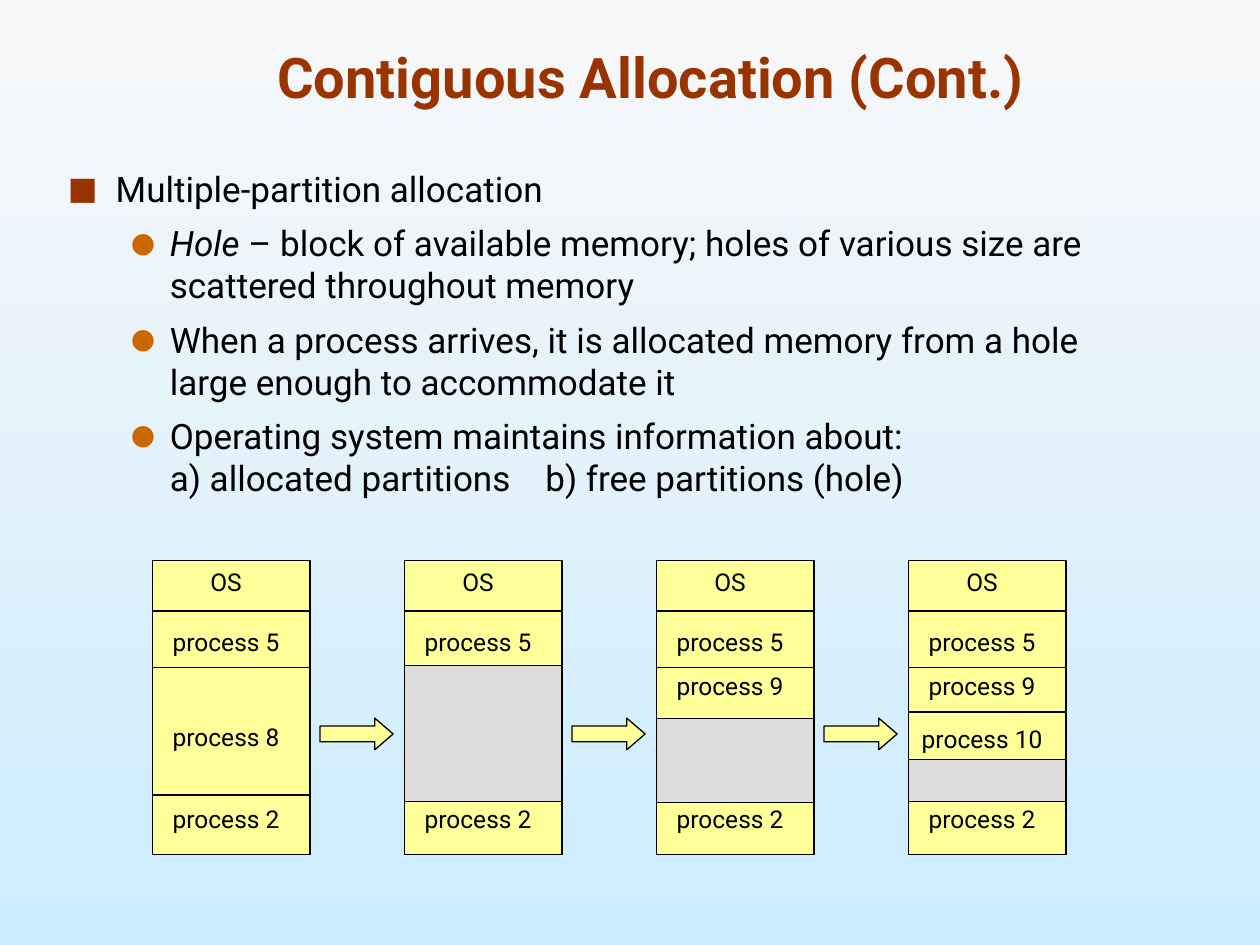
import pptx
import pptx.util
import pptx.dml.color
import pptx.enum.shapes
import pptx.enum.text
import pptx.oxml
import pptx.oxml.ns

Inches, Pt = pptx.util.Inches, pptx.util.Pt
RGBColor = pptx.dml.color.RGBColor
MSO_SHAPE = pptx.enum.shapes.MSO_SHAPE
MSO_ANCHOR = pptx.enum.text.MSO_ANCHOR
PP_ALIGN = pptx.enum.text.PP_ALIGN

FONT = "Roboto"
BLACK = RGBColor(0x00, 0x00, 0x00)
RUST = RGBColor(0x99, 0x33, 0x00)
ORANGE = RGBColor(0xCC, 0x66, 0x00)
YELLOW = RGBColor(0xFF, 0xFF, 0x99)
GRAY = RGBColor(0xDD, 0xDD, 0xDD)
SKY_TOP = RGBColor(0xF8, 0xF8, 0xF8)
SKY_BOTTOM = RGBColor(0xCC, 0xEC, 0xFF)

# Bullet styles: character, colour, size in percent, left indent, hanging indent
SQUARE = ("■", RUST, 90, 0.38, 0.38)
DOT = ("●", ORANGE, 80, 0.81, 0.31)
SECOND_ITEM_TAB = 3.79

# Each paragraph: bullet style, then its lines, each a list of (text, italic)
BODY = [
    (SQUARE, [[("Multiple-partition allocation", False)]]),
    (DOT, [[("Hole", True),
            (" – block of available memory; holes of various size are "
             "scattered throughout memory", False)]]),
    (DOT, [[("When a process arrives, it is allocated memory from a hole "
             "large enough to accommodate it", False)]]),
    (DOT, [[("Operating system maintains information about:", False)],
           [("a) allocated partitions\tb) free partitions (hole)", False)]]),
]

# Memory states, measured down from the top of the memory block
COMMON_DIVIDERS = [0.4, 0.85, 1.86]
COMMON_LABELS = [("OS", 0), ("process 5", 0.48), ("process 2", 1.88)]
MEMORY_STATES = [
    {"labels": [("process 8", 1.23)]},
    {"hole": (0.83, 1.08)},
    {"labels": [("process 9", 0.83)], "hole": (1.25, 0.67)},
    {"labels": [("process 9", 0.83), ("process 10", 1.25)],
     "hole": (1.58, 0.33), "dividers": [1.2]},
]
MEMORY_WIDTH, MEMORY_HEIGHT, MEMORY_STEP = 1.25, 2.33, 2.0
LABEL_WIDTH, LABEL_HEIGHT = 1.17, 0.33


def add_run(paragraph, text, size, color=BLACK, bold=False, italic=False):
    run = paragraph.add_run()
    run.text = text
    run.font.name = FONT
    run.font.size = Pt(size)
    run.font.color.rgb = color
    run.font.bold = bold
    run.font.italic = italic


def add_filled_shape(slide, kind, left, top, width, height, color):
    shape = slide.shapes.add_shape(
        kind, Inches(left), Inches(top), Inches(width), Inches(height))
    shape.shadow.inherit = False
    shape.fill.solid()
    shape.fill.fore_color.rgb = color
    shape.line.color.rgb = BLACK
    shape.line.width = Pt(0.75)
    return shape


def add_text_box(slide, left, top, width, height, anchor):
    text_box = slide.shapes.add_textbox(
        Inches(left), Inches(top), Inches(width), Inches(height))
    text_box.text_frame.word_wrap = True
    text_box.text_frame.vertical_anchor = anchor
    return text_box.text_frame


def add_divider(slide, left, top, width):
    connector = slide.shapes.add_connector(
        pptx.enum.shapes.MSO_CONNECTOR.STRAIGHT,
        Inches(left), Inches(top), Inches(left + width), Inches(top))
    connector.line.color.rgb = BLACK
    connector.line.width = Pt(0.75)
    properties = connector._element.spPr
    properties.append(pptx.oxml.parse_xml(
        f"<a:effectLst {pptx.oxml.ns.nsdecls('a')}/>"))


def set_bullet(paragraph, style):
    """Give the paragraph its indents, bullet and tab stop."""
    character, color, percent, left, hanging = style
    properties = paragraph._p.get_or_add_pPr()
    properties.set("marL", str(Inches(left)))
    properties.set("indent", str(-Inches(hanging)))
    declaration = pptx.oxml.ns.nsdecls("a")
    for xml in (
        f'<a:buClr {declaration}><a:srgbClr val="{color}"/></a:buClr>',
        f'<a:buSzPct {declaration} val="{percent * 1000}"/>',
        f'<a:buFont {declaration} typeface="{FONT}"/>',
        f'<a:buChar {declaration} char="{character}"/>',
        f'<a:tabLst {declaration}><a:tab pos="{Inches(SECOND_ITEM_TAB)}" algn="l"/></a:tabLst>',
    ):
        properties.append(pptx.oxml.parse_xml(xml))


def paint_background(slide):
    fill = slide.background.fill
    fill.gradient()
    fill.gradient_angle = 270
    for stop, color in zip(fill.gradient_stops, (SKY_TOP, SKY_BOTTOM)):
        stop.color.rgb = color


def fill_title(slide, left, top, width, height):
    title = slide.shapes.title
    title.left, title.top = Inches(left), Inches(top)
    title.width, title.height = Inches(width), Inches(height)
    title.text_frame.vertical_anchor = MSO_ANCHOR.BOTTOM
    paragraph = title.text_frame.paragraphs[0]
    paragraph.alignment = PP_ALIGN.CENTER
    add_run(paragraph, "Contiguous Allocation (Cont.)", 32, RUST, bold=True)


def add_body(slide, left, top, width, height):
    frame = add_text_box(slide, left, top, width, height, MSO_ANCHOR.TOP)
    for index, (style, lines) in enumerate(BODY):
        paragraph = frame.add_paragraph() if index else frame.paragraphs[0]
        paragraph.level = int(style is DOT)
        paragraph.space_before = Pt(7 if index else 0)
        set_bullet(paragraph, style)
        for line_index, line in enumerate(lines):
            if line_index:
                paragraph.add_line_break()
            for text, italic in line:
                add_run(paragraph, text, 20, italic=italic)


def add_memory(slide, left, top, state):
    """Draw one memory block with its dividers, hole and labels."""
    add_filled_shape(slide, MSO_SHAPE.RECTANGLE, left, top,
                     MEMORY_WIDTH, MEMORY_HEIGHT, YELLOW)
    for offset in COMMON_DIVIDERS + state.get("dividers", []):
        add_divider(slide, left, top + offset, MEMORY_WIDTH)
    if "hole" in state:
        offset, height = state["hole"]
        add_filled_shape(slide, MSO_SHAPE.RECTANGLE, left, top + offset,
                         MEMORY_WIDTH, height, GRAY)
    for text, offset in COMMON_LABELS + state.get("labels", []):
        frame = add_text_box(slide, left, top + offset,
                             LABEL_WIDTH, LABEL_HEIGHT, MSO_ANCHOR.MIDDLE)
        frame.paragraphs[0].alignment = PP_ALIGN.CENTER
        add_run(frame.paragraphs[0], text, 14)


def add_memory_sequence(slide, left, top):
    for index, state in enumerate(MEMORY_STATES):
        memory_left = left + index * MEMORY_STEP
        add_memory(slide, memory_left, top, state)
        if index:
            arrow = add_filled_shape(slide, MSO_SHAPE.RIGHT_ARROW,
                                     memory_left - 0.67, top + 1.25,
                                     0.58, 0.25, YELLOW)
            arrow.adjustments[1] = 0.58


def main():
    presentation = pptx.Presentation()
    presentation.slide_width = Inches(10)
    presentation.slide_height = Inches(7.5)
    slide = presentation.slides.add_slide(presentation.slide_layouts[5])
    paint_background(slide)
    fill_title(slide, 0.75, 0.25, 8.83, 0.67)
    add_body(slide, 0.44, 1.28, 8.83, 2.98)
    add_memory_sequence(slide, 1.21, 4.45)
    presentation.save("out.pptx")


if __name__ == "__main__":
    main()
